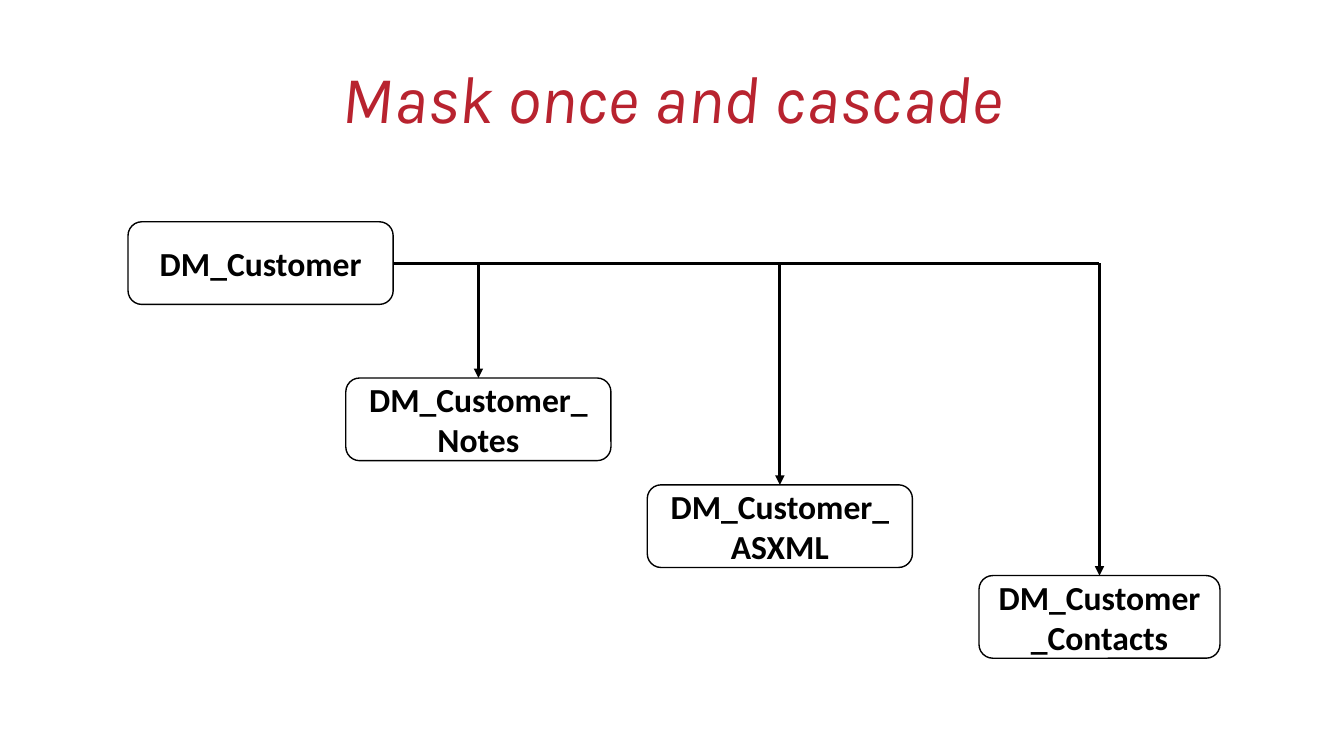
import pptx
import pptx.dml.color
import pptx.enum.shapes
import pptx.enum.text
import pptx.oxml.ns
import pptx.util
from lxml import etree
from pptx.util import Inches

TITLE = "Mask once and cascade"
SOURCE_TABLE = ("DM_Customer", 1.27, 2.2, 2.63)
CASCADED_TABLES = [
    ("DM_Customer_Notes", 3.43, 3.75, 2.63),
    ("DM_Customer_ASXML", 6.42, 4.81, 2.63),
    ("DM_Customer_Contacts", 9.71, 5.71, 2.39),
]
BOX_HEIGHT = 0.82
COLORS = {"title": "B8232F", "ink": "000000"}


def color(name):
    return pptx.dml.color.RGBColor.from_string(COLORS[name])


def write_text(shape, text, font_name, size, color_name):
    frame = shape.text_frame
    frame.text = text
    frame.word_wrap = True
    frame.auto_size = pptx.enum.text.MSO_AUTO_SIZE.NONE
    frame.vertical_anchor = pptx.enum.text.MSO_ANCHOR.MIDDLE
    paragraph = frame.paragraphs[0]
    paragraph.alignment = pptx.enum.text.PP_ALIGN.CENTER
    font = paragraph.runs[0].font
    font.name = font_name
    font.size = pptx.util.Pt(size)
    font.color.rgb = color(color_name)
    return paragraph


def add_table_box(slide, name, left, top, width):
    box = slide.shapes.add_shape(
        pptx.enum.shapes.MSO_SHAPE.ROUNDED_RECTANGLE,
        Inches(left), Inches(top), Inches(width), Inches(BOX_HEIGHT))
    box.shadow.inherit = False
    box.fill.background()
    box.line.color.rgb = color("ink")
    box.line.width = pptx.util.Pt(1)
    paragraph = write_text(box, name, "Calibri", 24, "ink")
    paragraph.runs[0].font.bold = True


def add_line(slide, start, end, arrow=False):
    connector = slide.shapes.add_connector(
        pptx.enum.shapes.MSO_CONNECTOR.STRAIGHT,
        *[Inches(value) for value in (*start, *end)])
    connector.line.color.rgb = color("ink")
    connector.line.width = pptx.util.Pt(2.25)
    if arrow:
        etree.SubElement(connector.line._get_or_add_ln(),
                         pptx.oxml.ns.qn("a:tailEnd"), type="triangle")
    etree.SubElement(connector._element.spPr, pptx.oxml.ns.qn("a:effectLst"))


def main():
    presentation = pptx.Presentation()
    presentation.slide_width = Inches(13.33)
    presentation.slide_height = Inches(7.5)
    slide = presentation.slides.add_slide(presentation.slide_layouts[5])

    title = slide.shapes.title
    title.left, title.top = Inches(0.92), Inches(0.28)
    title.width, title.height = Inches(11.5), Inches(1.45)
    paragraph = write_text(title, TITLE, "Karla", 48, "title")
    paragraph.line_spacing = 0.9
    paragraph.runs[0].font.italic = True

    for table in [SOURCE_TABLE, *CASCADED_TABLES]:
        add_table_box(slide, *table)

    _, source_left, source_top, source_width = SOURCE_TABLE
    trunk_y = source_top + BOX_HEIGHT / 2
    for _, left, top, width in CASCADED_TABLES:
        center = left + width / 2
        add_line(slide, (center, trunk_y), (center, top), arrow=True)
    add_line(slide, (source_left + source_width, trunk_y), (center, trunk_y))

    presentation.save("out.pptx")


if __name__ == "__main__":
    main()
